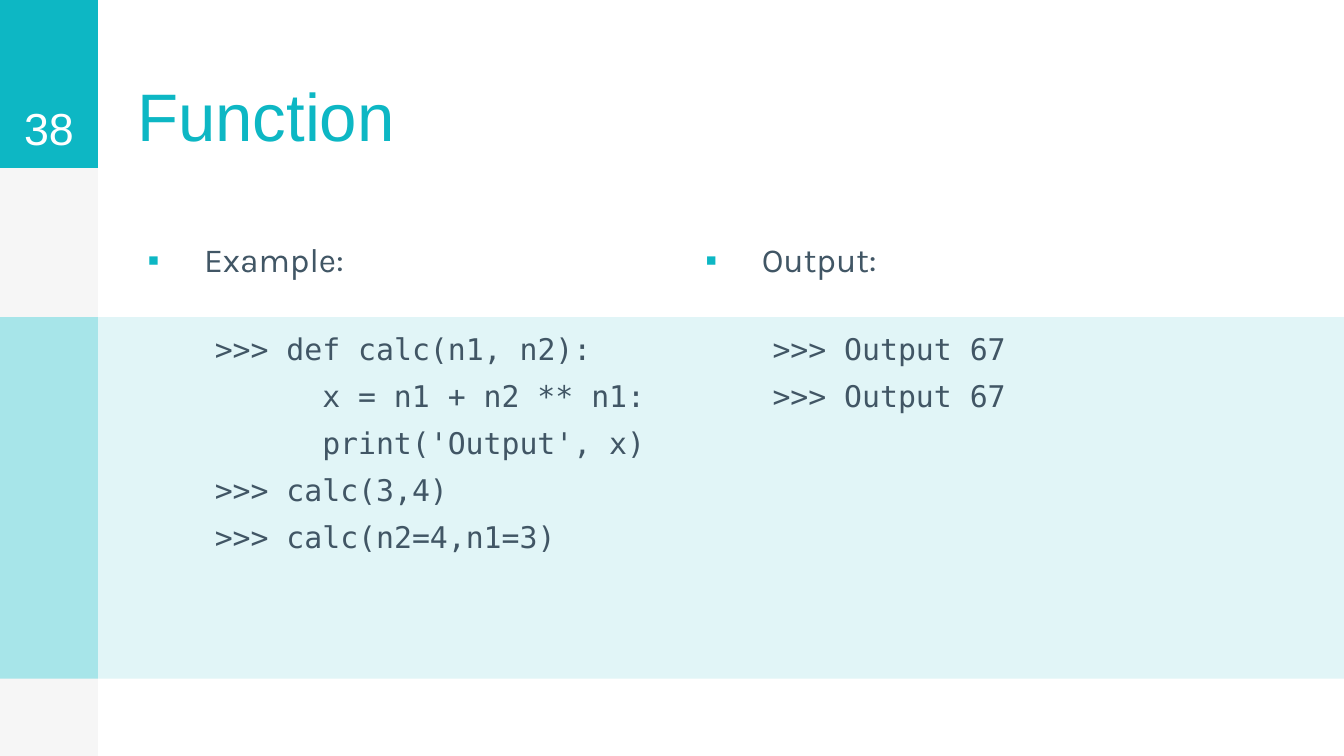
from pptx import Presentation
from pptx.dml.color import RGBColor
from pptx.enum import shapes, text
from pptx.oxml import parse_xml
from pptx.oxml.ns import nsdecls
from pptx.util import Inches, Pt

TEAL, SLATE, WHITE = "0DB7C4", "415665", "FFFFFF"
PAGE_W = 10
PAGE_H = PAGE_W * 9 / 16
SIDE_W, HEAD_H = 0.73, 1.25
CODE_TOP, CODE_H = 2.36, 2.69
COLUMN_LEFT, COLUMN_W = 0.92, 4.15
BOX_W = 4.17
CODE_INDENT, BLOCK_INDENT = 0.58, 0.8

TITLE = "Function"
PAGE_NUMBER = "38"
# Each column: heading, then code lines as (block depth, text)
COLUMNS = [
    ("Example:", [
        (0, ">>> def calc(n1, n2):"),
        (1, "x = n1 + n2 ** n1:"),
        (1, "print('Output', x)"),
        (0, ">>> calc(3,4)"),
        (0, ">>> calc(n2=4,n1=3)"),
    ]),
    ("Output:", [
        (0, ">>> Output 67"),
        (0, ">>> Output 67"),
    ]),
]
# Left, top, width, height, fill
PANELS = [
    (0, 0, SIDE_W, PAGE_H, "F6F6F6"),
    (0, 0, SIDE_W, HEAD_H, TEAL),
    (SIDE_W, CODE_TOP, PAGE_W - SIDE_W, CODE_H, "E1F5F7"),
    (0, CODE_TOP, SIDE_W, CODE_H, "A7E5E9"),
]


def color(hex_code):
    return RGBColor.from_string(hex_code)


def add_panel(page, left, top, width, height, fill):
    panel = page.shapes.add_shape(shapes.MSO_SHAPE.RECTANGLE, Inches(left),
                                  Inches(top), Inches(width), Inches(height))
    panel.shadow.inherit = False
    panel.fill.solid()
    panel.fill.fore_color.rgb = color(fill)
    panel.line.fill.background()


def set_frame(box, anchor=text.MSO_ANCHOR.TOP):
    frame = box.text_frame
    frame.word_wrap = True
    frame.auto_size = text.MSO_AUTO_SIZE.NONE
    frame.vertical_anchor = anchor
    frame.margin_left = frame.margin_right = Inches(0.1)
    frame.margin_top = frame.margin_bottom = Inches(0.1)
    return frame


def add_frame(page, left, top, width, height, **options):
    box = page.shapes.add_textbox(Inches(left), Inches(top),
                                  Inches(width), Inches(height))
    return set_frame(box, **options)


def write(para, words, size, font, hex_code):
    para.text = words
    para.font.size = Pt(size)
    para.font.name = font
    para.font.color.rgb = color(hex_code)


def set_indent(para, left, first=0):
    props = para._p.get_or_add_pPr()
    props.set("marL", str(Inches(left)))
    props.set("indent", str(Inches(first)))
    return props


def add_heading(page, left, words):
    para = add_frame(page, left, 1.68, BOX_W, 3.71).paragraphs[0]
    write(para, words, 18, "Karla", SLATE)
    para.space_before = Pt(6)
    props = set_indent(para, 0.5, -0.42)
    space = nsdecls("a")
    for bullet_part in (
        f'<a:buClr {space}><a:srgbClr val="{TEAL}"/></a:buClr>',
        f'<a:buFont {space} typeface="Arial"/>',
        f'<a:buChar {space} char="▪"/>',
    ):
        props.insert_element_before(parse_xml(bullet_part), "a:defRPr")


def add_code(page, left, lines):
    frame = add_frame(page, left, CODE_TOP, BOX_W, CODE_H)
    for index, (depth, line) in enumerate(lines):
        para = frame.add_paragraph() if index else frame.paragraphs[0]
        write(para, line, 16, "DejaVu Sans Mono", SLATE)
        para.level = 1
        para.space_before = Pt(6)
        set_indent(para, CODE_INDENT + depth * BLOCK_INDENT)


def main():
    deck = Presentation()
    deck.slide_width, deck.slide_height = Inches(PAGE_W), Inches(PAGE_H)
    page = deck.slides.add_slide(deck.slide_layouts[5])

    for panel in PANELS:
        add_panel(page, *panel)

    title = page.shapes.title
    title.left, title.top = Inches(COLUMN_LEFT), Inches(0)
    title.width, title.height = Inches(8.34), Inches(HEAD_H)
    para = set_frame(title, anchor=text.MSO_ANCHOR.BOTTOM).paragraphs[0]
    write(para, TITLE, 36, "Arial", TEAL)
    para.alignment = text.PP_ALIGN.LEFT

    number = add_frame(page, 0, 0, SIDE_W, HEAD_H,
                       anchor=text.MSO_ANCHOR.BOTTOM).paragraphs[0]
    write(number, PAGE_NUMBER, 24, "Arial", WHITE)
    number.alignment = text.PP_ALIGN.CENTER

    for index, (heading, lines) in enumerate(COLUMNS):
        left = COLUMN_LEFT + index * COLUMN_W
        add_heading(page, left, heading)
        add_code(page, left, lines)

    deck.save("out.pptx")


if __name__ == "__main__":
    main()
